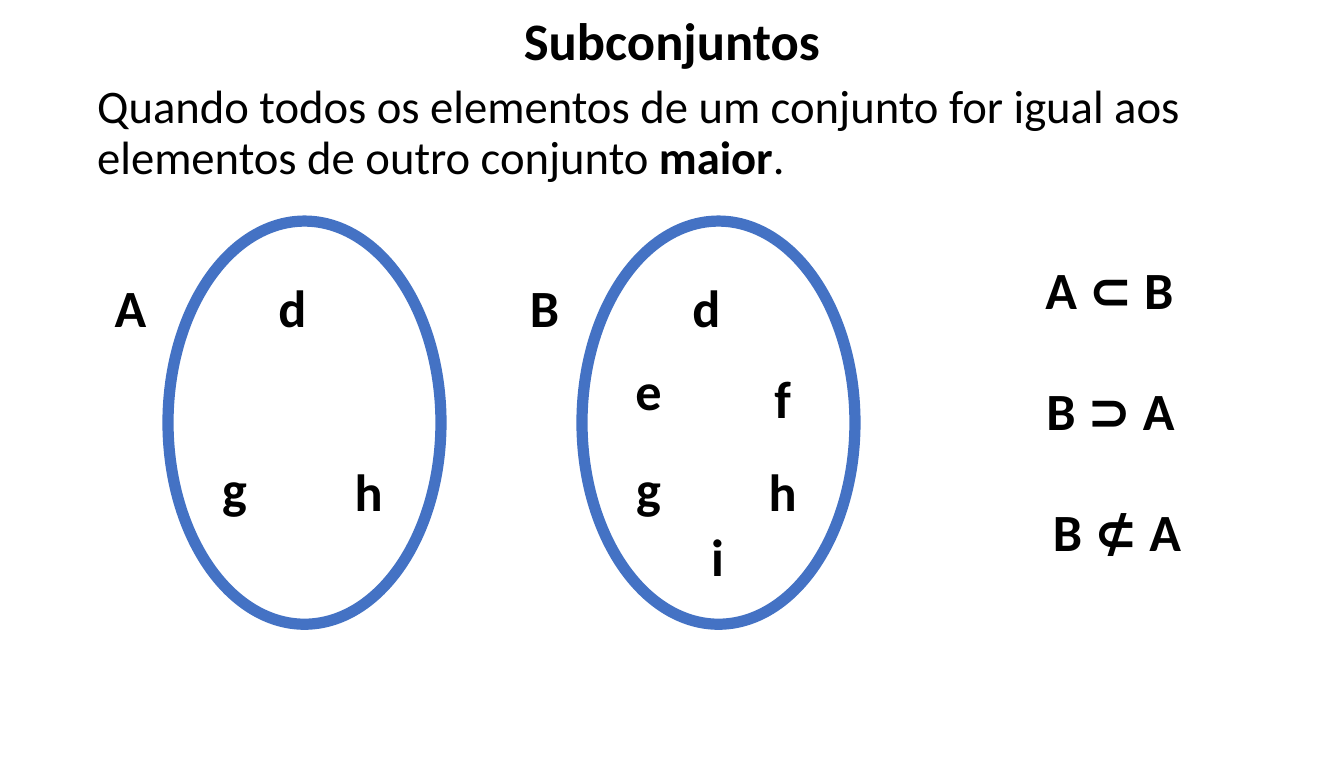
from pptx import Presentation
from pptx import util as u
from pptx.dml.color import RGBColor
from pptx.enum import shapes, text

EMU_PER_PX = 914400 / 134.4
FONT = "Calibri"
COLORS = {"ink": "000000", "outline": "4472C4"}

SET_TOP = 221
SET_SIZE = (273, 403)
LETTER_SIZE = (75, 90)

# Letter places: offset from the left of the ellipse, top on the page
LETTER_PLACES = {
    "d": (87, 262),
    "e": (29, 345),
    "f": (163, 353),
    "g": (29, 443),
    "h": (163, 446),
    "i": (98, 511),
}
SETS = [("A", 168, "dgh"), ("B", 582, "defghi")]

# Relations: wording, left, width
RELATIONS = [("A ⊂ B", 1004, 211), ("B ⊃ A", 1005, 211), ("B ⊄ A", 1019, 196)]
RELATION_TOP, RELATION_STEP = 244, 121


def px(length):
    return u.Emu(round(length * EMU_PER_PX))


def color(name):
    return RGBColor.from_string(COLORS[name])


def add_text(page, spans, left, top, width, height, size, align, spacing=1.0):
    """Add one paragraph made of (wording, bold) spans."""
    box = page.shapes.add_textbox(px(left), px(top), px(width), px(height))
    frame = box.text_frame
    frame.word_wrap = True
    frame.margin_left = frame.margin_right = u.Inches(0.1)
    frame.margin_top = frame.margin_bottom = u.Inches(0.1)
    para = frame.paragraphs[0]
    para.alignment = align
    para.line_spacing = spacing
    para.font.name = FONT
    para.font.size = u.Pt(size)
    para.font.color.rgb = color("ink")
    for wording, bold in spans:
        span = para.add_run()
        span.text = wording
        span.font.bold = bold
    return box


def add_label(page, wording, left, top, width=LETTER_SIZE[0]):
    box = add_text(page, [(wording, True)], left, top, width, LETTER_SIZE[1],
                   28, text.PP_ALIGN.CENTER)
    box.text_frame.auto_size = text.MSO_AUTO_SIZE.SHAPE_TO_FIT_TEXT


def add_set(page, name, left, letters):
    """Add an ellipse with its name on the left and its elements inside."""
    width, height = SET_SIZE
    ellipse = page.shapes.add_shape(shapes.MSO_SHAPE.OVAL, px(left),
                                    px(SET_TOP), px(width), px(height))
    ellipse.shadow.inherit = False
    ellipse.fill.background()
    ellipse.line.color.rgb = color("outline")
    ellipse.line.width = u.Pt(6)

    add_label(page, name, left - LETTER_SIZE[0], LETTER_PLACES["d"][1])
    for letter in letters:
        offset, top = LETTER_PLACES[letter]
        add_label(page, letter, left + offset, top)


def main():
    deck = Presentation()
    deck.slide_width, deck.slide_height = u.Inches(10), u.Inches(5.63)
    page = deck.slides.add_slide(deck.slide_layouts[6])

    # Title and definition
    add_text(page, [("Subconjuntos", True)], 46, 2, 1252, 85, 28.2,
             text.PP_ALIGN.CENTER, 0.9)
    definition = [
        ("Quando todos os elementos de um conjunto for igual aos "
         "elementos de outro conjunto ", False),
        ("maior", True),
        (".", False),
    ]
    add_text(page, definition, 84, 70, 1155, 152, 25,
             text.PP_ALIGN.LEFT, 0.9)

    # Sets
    for name, left, letters in SETS:
        add_set(page, name, left, letters)

    # Relations between the sets
    for row, (wording, left, width) in enumerate(RELATIONS):
        add_label(page, wording, left, RELATION_TOP + row * RELATION_STEP,
                  width)

    deck.save("out.pptx")


if __name__ == "__main__":
    main()
